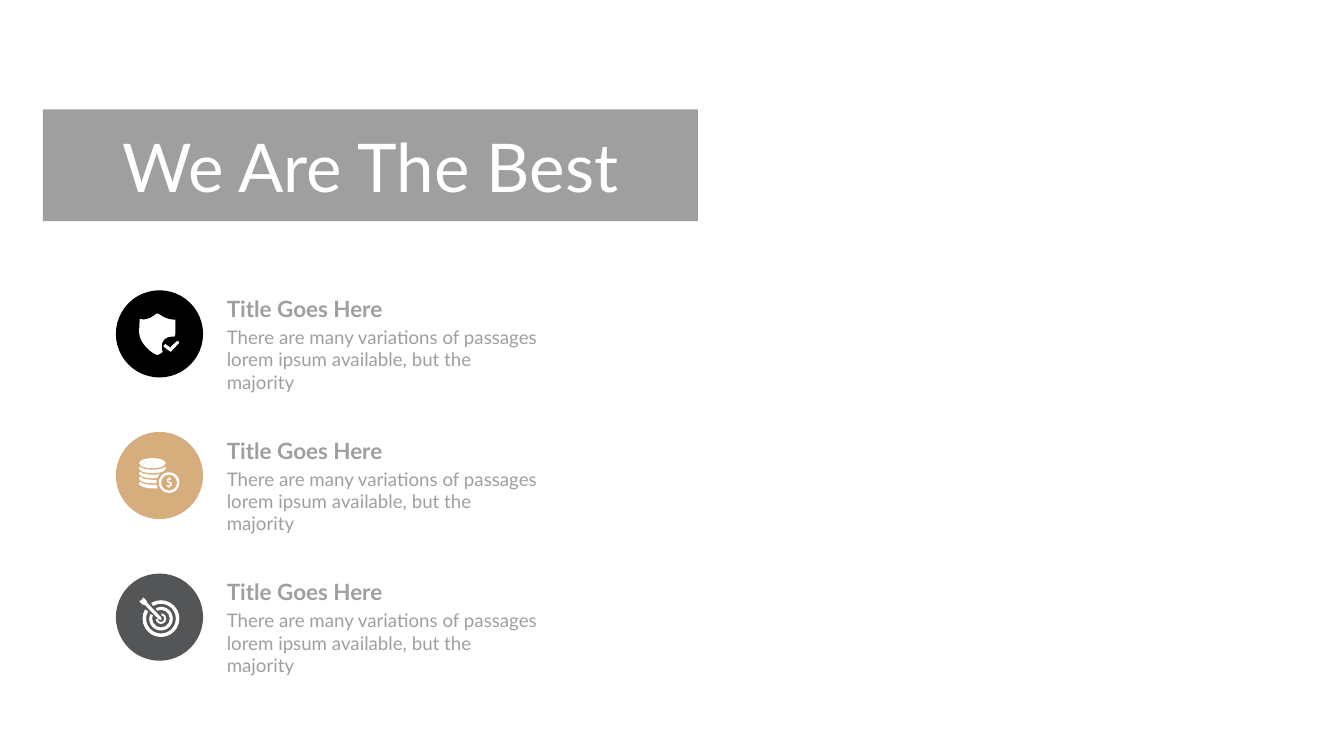
from dataclasses import dataclass

from pptx import Presentation
from pptx.dml.color import RGBColor
from pptx.enum.shapes import MSO_SHAPE
from pptx.enum.text import MSO_ANCHOR, PP_ALIGN
from pptx.util import Inches, Pt


@dataclass(frozen=True)
class Theme:
    font: str = "Lato"
    gray: str = "9F9F9F"
    white: str = "FFFFFF"
    black: str = "000000"
    gold: str = "D6AE7E"
    slate: str = "545557"
    headline: float = 96
    title: float = 32
    body: float = 26.7


THEME = Theme()
BADGE = 1.73  # badge diameter

# Icon outlines in hundredths of an inch from the badge corner:
# pairs are line ends, six numbers are a cubic curve.
SHIELD = [(91, 111), (91, 100, 99, 92, 110, 92), (112, 92, 114, 92, 116, 92),
          (118, 88, 118, 86, 118, 83), (118, 60), (118, 58, 117, 58, 116, 58),
          (112, 58, 108, 58, 103, 56), (94, 54, 85, 46, 82, 46),
          (79, 46, 73, 54, 64, 56), (59, 58, 53, 58, 48, 57),
          (47, 57, 47, 58, 47, 60), (46, 83), (46, 106, 75, 128, 82, 128),
          (85, 128, 88, 126, 93, 122), (91, 118, 91, 114, 91, 111)]
CHECK = [(110, 121), (109, 122, 108, 122, 107, 121), (95, 112),
         (94, 111, 94, 110, 95, 110), (97, 108), (97, 106, 98, 106, 99, 107),
         (107, 113), (107, 114, 109, 114, 109, 112), (121, 101),
         (122, 100, 123, 100, 123, 101), (125, 102),
         (126, 103, 126, 104, 125, 105)]
DOLLAR = [(107, 99), (104, 98, 104, 97, 104, 96), (104, 95, 104, 95, 106, 95),
          (109, 95), (110, 93), (109, 92, 107, 92, 107, 92), (107, 90),
          (107, 89, 105, 89, 105, 90), (105, 92), (102, 93, 101, 94, 101, 97),
          (101, 99, 103, 100, 105, 101), (107, 102, 108, 103, 108, 104),
          (108, 105, 107, 106, 105, 106), (104, 106, 102, 105, 102, 105),
          (100, 107), (101, 108, 103, 109, 104, 109), (104, 110),
          (104, 111, 107, 111, 107, 110), (107, 108),
          (110, 108, 111, 106, 111, 103), (111, 101, 110, 100, 107, 99)]
DART = [(58, 63), (85, 91), (89, 92), (91, 90), (89, 86), (62, 58), (61, 54),
        (55, 48), (53, 48), (53, 50), (50, 53), (47, 54), (47, 56), (52, 61)]

# Stacked coin edges share a left half; the right half makes room for the coin
EDGE_START = [(48, 0), (50, 1, 51, 2, 53, 3), (59, 5, 66, 6, 73, 6)]
EDGE_END = [(59, 13, 46, 9, 46, 3), (46, 2, 47, 1, 48, 0)]
EDGE_TAILS = [
    [(81, 6, 87, 5, 93, 3), (95, 2, 96, 1, 98, 1), (99, 1, 99, 2, 99, 3),
     (99, 9, 87, 13, 73, 13)],
    [(79, 6, 83, 6, 87, 4), (82, 12), (79, 13, 76, 13, 73, 13)],
    [(81, 6), (80, 13), (73, 13)],
    [(81, 6), (81, 8, 82, 11, 84, 13), (73, 13)],
]


def paint(sp, color):
    sp.shadow.inherit = False
    sp.fill.solid()
    sp.fill.fore_color.rgb = RGBColor.from_string(color)
    sp.line.fill.background()
    return sp


def preset(shapes, kind, x, y, w, h, color):
    sp = shapes.add_shape(kind, Inches(x), Inches(y), Inches(w), Inches(h))
    return paint(sp, color)


def style(p, size, color, bold=False):
    for r in p.runs:
        r.font.name, r.font.size, r.font.bold = THEME.font, Pt(size), bold
        r.font.color.rgb = RGBColor.from_string(color)


def flatten(outline, steps=8):
    """Turn lines and cubic curves into a list of points."""
    points = []
    for seg in outline:
        if len(seg) == 2:
            points.append(seg)
            continue
        (x0, y0), (x1, y1, x2, y2, x3, y3) = points[-1], seg
        for i in range(1, steps + 1):
            t = i / steps
            a, b, c, d = (1 - t) ** 3, 3 * t * (1 - t) ** 2, 3 * t * t * (1 - t), t ** 3
            points.append((a * x0 + b * x1 + c * x2 + d * x3,
                           a * y0 + b * y1 + c * y2 + d * y3))
    return points


def draw_outline(shapes, x, y, outline):
    points = [(Inches(x + px / 100), Inches(y + py / 100))
              for px, py in flatten(outline)]
    builder = shapes.build_freeform(*points[0])
    builder.add_line_segments(points[1:], close=True)
    paint(builder.convert_to_shape(), THEME.white)


def shield_icon(shapes, x, y):
    draw_outline(shapes, x, y, SHIELD)
    draw_outline(shapes, x, y, CHECK)


def coins_icon(shapes, x, y):
    preset(shapes, MSO_SHAPE.OVAL, x + 0.46, y + 0.52, 0.53, 0.2, THEME.white)
    for i, tail in enumerate(EDGE_TAILS):
        draw_outline(shapes, x, y + 0.69 + i * 0.1, EDGE_START + tail + EDGE_END)
    coin = preset(shapes, MSO_SHAPE.DONUT, x + 0.85, y + 0.8, 0.41, 0.41, THEME.white)
    coin.adjustments[0] = 0.11
    draw_outline(shapes, x, y, DOLLAR)


def target_icon(shapes, x, y):
    cx, cy = x + 0.895, y + 0.895
    # diameter, thickness, start and end angle of each open ring
    for size, thick, start, end in [(0.73, 0.07, 238, 210), (0.47, 0.06, 244, 203),
                                    (0.21, 0.04, 275, 175)]:
        ring = preset(shapes, MSO_SHAPE.BLOCK_ARC, cx - size / 2, cy - size / 2,
                      size, size, THEME.white)
        ring.adjustments[0] = start * 0.6  # 60000 units per degree / 100000
        ring.adjustments[1] = end * 0.6
        ring.adjustments[2] = thick / size
    draw_outline(shapes, x, y, DART)


def headline_band(s, x, y, w, h, text):
    sp = preset(s.shapes, MSO_SHAPE.RECTANGLE, x, y, w, h, THEME.gray)
    tf = sp.text_frame
    tf.text = text
    tf.vertical_anchor = MSO_ANCHOR.MIDDLE
    tf.paragraphs[0].alignment = PP_ALIGN.CENTER
    style(tf.paragraphs[0], THEME.headline, THEME.white)


def feature(s, x, y, color, icon, title, body):
    # Badge with its icon
    preset(s.shapes, MSO_SHAPE.OVAL, x, y, BADGE, BADGE, color)
    icon(s.shapes.add_group_shape().shapes, x, y)
    # Title and description
    box = s.shapes.add_textbox(Inches(x + 2.2), Inches(y + 0.1), Inches(6.22), Inches(1.53))
    tf = box.text_frame
    tf.word_wrap = True
    tf.margin_left = tf.margin_right = tf.margin_top = tf.margin_bottom = 0
    tf.text = title
    style(tf.paragraphs[0], THEME.title, THEME.gray, bold=True)
    p = tf.add_paragraph()
    p.text = body
    p.space_before = Pt(5)
    style(p, THEME.body, THEME.gray)


def main():
    prs = Presentation()
    prs.slide_width, prs.slide_height = Inches(26.67), Inches(15)
    s = prs.slides.add_slide(prs.slide_layouts[6])
    headline_band(s, 0.85, 2.17, 13, 2.22, "We Are The Best")
    features = [(THEME.black, shield_icon), (THEME.gold, coins_icon),
                (THEME.slate, target_icon)]
    for i, (color, icon) in enumerate(features):
        feature(s, 2.3, 5.76 + i * 2.81, color, icon, "Title Goes Here",
                "There are many variations of passages lorem ipsum available, "
                "but the majority")
    prs.save("out.pptx")


if __name__ == "__main__":
    main()
